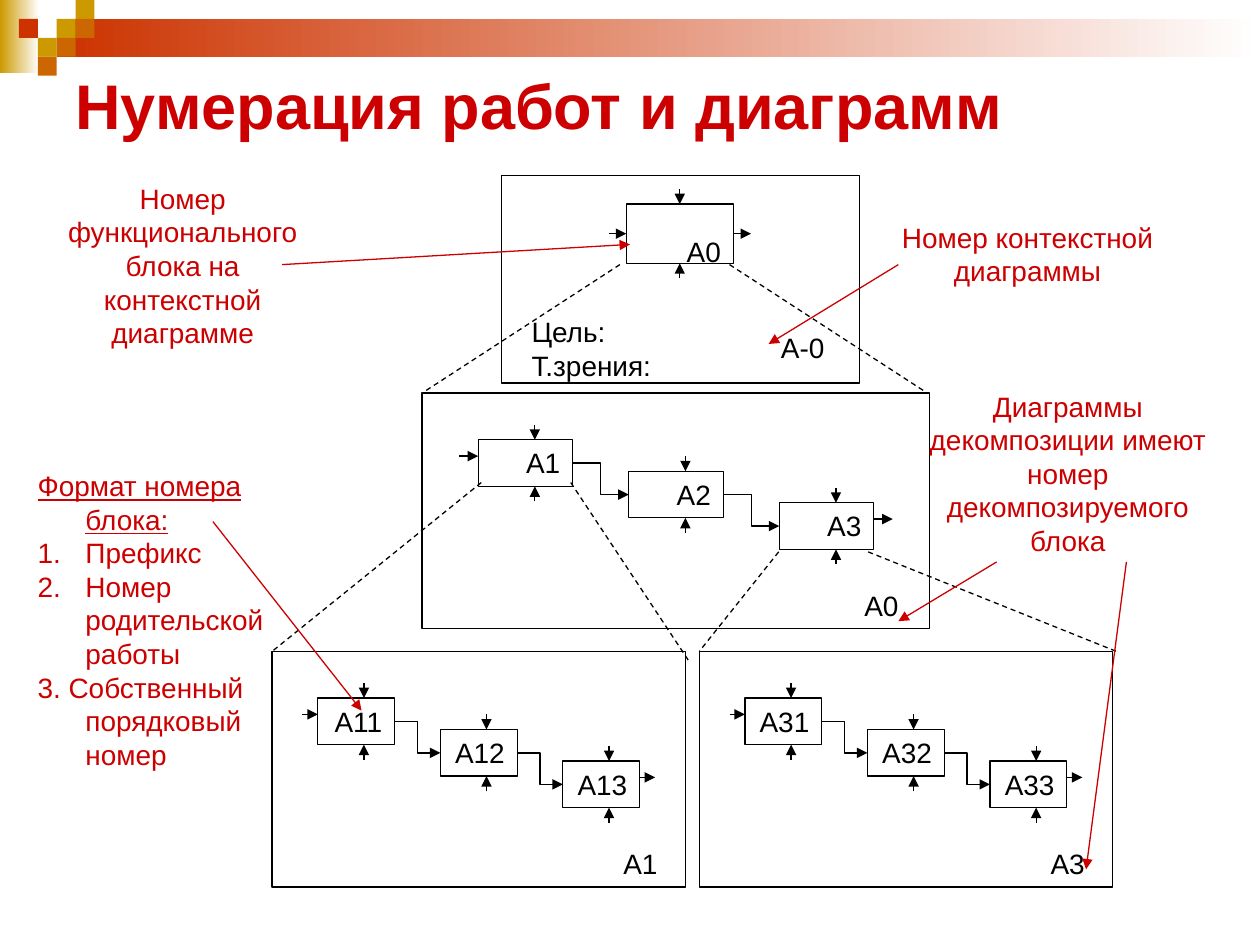
from lxml import etree
from pptx import Presentation
from pptx.dml.color import RGBColor
from pptx.enum.dml import MSO_LINE
from pptx.enum.shapes import MSO_CONNECTOR, MSO_SHAPE
from pptx.enum.text import MSO_ANCHOR, PP_ALIGN
from pptx.oxml.ns import qn
from pptx.util import Inches, Pt

RECT = MSO_SHAPE.RECTANGLE
STRAIGHT, ELBOW = MSO_CONNECTOR.STRAIGHT, MSO_CONNECTOR.ELBOW
LEFT, CENTER, RIGHT = PP_ALIGN.LEFT, PP_ALIGN.CENTER, PP_ALIGN.RIGHT
TOP, MIDDLE = MSO_ANCHOR.TOP, MSO_ANCHOR.MIDDLE
DASH = MSO_LINE.DASH
SIDE_TOP, SIDE_LEFT, SIDE_BOTTOM, SIDE_RIGHT = range(4)

COLORS = {
    "black": "000000",
    "white": "FFFFFF",
    "red": "CC0000",
    "gold": "CC9900",
    "orange": "CC6600",
    "brick": "CC3300",
}


def rgb(name):
    return RGBColor.from_string(COLORS[name])


def add_rect(slide, box, fill="white", line=None, fade=False):
    rect = slide.shapes.add_shape(RECT, *map(Inches, box))
    rect.shadow.inherit = False
    if fade:
        rect.fill.gradient()
        rect.fill.gradient_angle = 0
        for stop, shade in zip(rect.fill.gradient_stops, (fill, "white")):
            stop.color.rgb = rgb(shade)
    else:
        rect.fill.solid()
        rect.fill.fore_color.rgb = rgb(fill)
    if line:
        rect.line.color.rgb = rgb(line)
        rect.line.width = Pt(0.75)
    else:
        rect.line.fill.background()
    return rect


def write_text(shape, lines, size=16, color="black", bold=False, align=LEFT,
               anchor=TOP, top=0.05):
    frame = shape.text_frame
    frame.word_wrap = True
    frame.vertical_anchor = anchor
    frame.margin_left = frame.margin_right = Inches(0.1)
    frame.margin_top, frame.margin_bottom = Inches(top), Inches(0.05)
    for index, line in enumerate(lines):
        paragraph = frame.paragraphs[0] if index == 0 else frame.add_paragraph()
        paragraph.alignment = align
        run = paragraph.add_run()
        run.text = line
        run.font.name = "Arial"
        run.font.size = Pt(size)
        run.font.bold = bold
        run.font.color.rgb = rgb(color)
    return frame


def add_note(slide, box, lines, **text_format):
    note = slide.shapes.add_textbox(*map(Inches, box))
    return write_text(note, lines, **text_format)


def add_line(slide, start, end, color="black", kind=STRAIGHT, arrow=True, dash=None):
    link = slide.shapes.add_connector(kind, *map(Inches, (*start, *end)))
    link.line.color.rgb = rgb(color)
    link.line.width = Pt(0.75)
    if dash:
        link.line.dash_style = dash
    properties = link._element.spPr
    if arrow:
        etree.SubElement(properties.find(qn("a:ln")), qn("a:tailEnd"), type="triangle")
    etree.SubElement(properties, qn("a:effectLst"))
    return link


def add_header(slide, box):
    left, top, width, height = box
    side = 0.15
    add_rect(slide, (left, top, 0.31, 0.58), "gold", fade=True)
    add_rect(slide, (left + 3 * side, top + side, width - 3 * side, 2 * side),
             "brick", fade=True)
    mosaic = [(3, 1, "gold"), (4, 0, "gold"), (4, 1, "orange"), (2, 2, "gold"),
              (1, 1, "brick"), (3, 2, "orange"), (2, 3, "orange")]
    for column, row, color in mosaic:
        add_rect(slide, (left + column * side, top + row * side, side, side), color)
    add_note(slide, (left + 0.5, top + 0.5, 9, 0.65), ["Нумерация работ и диаграмм"],
             size=36, color="red", bold=True, anchor=MIDDLE)


def add_context(slide, box):
    left, top, width, height = box
    add_rect(slide, box, line="black")
    x, y, block_width, block_height = left + 0.99, top + 0.23, 0.85, 0.47
    block = add_rect(slide, (x, y, block_width, block_height), line="black")
    write_text(block, ["А0"], align=RIGHT, top=0.24)
    middle, center = y + block_height / 2, x + block_width / 2
    right, bottom = x + block_width, y + block_height
    inputs = [((x - 0.14, middle), (x, middle), SIDE_LEFT),
              ((center, y - 0.12), (center, y), SIDE_TOP),
              ((center, bottom + 0.12), (center, bottom), SIDE_BOTTOM)]
    for start, end, side in inputs:
        add_line(slide, start, end).end_connect(block, side)
    result = add_line(slide, (right, middle), (right + 0.14, middle))
    result.begin_connect(block, SIDE_RIGHT)
    goal = add_rect(slide, (left + 0.14, top + 1.06, 1.28, 0.47))
    write_text(goal, ["Цель:", "Т.зрения:"])
    number = add_rect(slide, (left + 2.12, top + 1.18, 0.57, 0.35))
    write_text(number, ["А-0"])


def add_decomposition(slide, box, number, block_names, rays):
    left, top, width, height = box
    scale = width / 4.03
    block_width, block_height = 0.75 * scale, 0.37
    stub, drop = 0.15 * scale, 0.12
    add_rect(slide, box, line="black")
    blocks = []
    for index, name in enumerate(block_names):
        x = left + (0.445 + 1.195 * index) * scale
        y = top + 0.37 + 0.25 * index
        block = add_rect(slide, (x, y, block_width, block_height), line="black")
        write_text(block, [name], align=RIGHT)
        control, bottom = x + 0.6 * block_width, y + block_height
        add_line(slide, (control, y - drop), (control, y))
        add_line(slide, (control, bottom + drop), (control, bottom))
        if index == 0:
            add_line(slide, (x - stub, y + 0.13), (x, y + 0.13))
        blocks.append(block)
    right = x + block_width
    add_line(slide, (right, y + 0.13), (right + stub, y + 0.13))
    for source, target in zip(blocks, blocks[1:]):
        flow = add_line(slide, (left, top), (left, top), kind=ELBOW)
        flow.begin_connect(source, SIDE_RIGHT)
        flow.end_connect(target, SIDE_LEFT)
    label = add_rect(slide, (left + width - stub - block_width, top + 1.5,
                             block_width, 0.25))
    write_text(label, [number], align=RIGHT)
    for start, end in rays:
        add_line(slide, start, end, arrow=False, dash=DASH)


def add_callout(slide, box, lines, pointers):
    add_note(slide, box, lines, color="red", align=CENTER)
    for start, end in pointers:
        add_line(slide, start, end, "red")


def add_number_format(slide, box, pointer):
    frame = add_note(slide, box, ["Формат номера блока:", "Префикс",
                                  "Номер родительской работы",
                                  "3. Собственный порядковый номер"], color="red")
    for index, paragraph in enumerate(frame.paragraphs):
        properties = paragraph._p.get_or_add_pPr()
        properties.set("marL", str(Inches(0.38)))
        properties.set("indent", str(-Inches(0.38)))
        if index in (1, 2):
            etree.SubElement(properties, qn("a:buFont"), typeface="Arial")
            etree.SubElement(properties, qn("a:buAutoNum"), type="arabicPeriod")
    frame.paragraphs[0].runs[0].font.underline = True
    add_line(slide, *pointer, "red")


def main():
    deck = Presentation()
    deck.slide_width, deck.slide_height = Inches(10), Inches(7.5)
    slide = deck.slides.add_slide(deck.slide_layouts[6])
    add_header(slide, (0, 0, 10, 1.15))
    add_context(slide, (3.98, 1.39, 2.84, 1.65))
    add_decomposition(slide, (3.35, 3.12, 4.03, 1.87), "А0", ["А1", "А2", "А3"],
                      [((4.92, 2.1), (3.35, 3.12)), ((5.79, 2.1), (7.36, 3.12))])
    add_decomposition(slide, (2.16, 5.17, 3.28, 1.87), "А1", ["А11", "А12", "А13"],
                      [((3.82, 3.83), (2.16, 5.17)), ((4.53, 3.83), (5.47, 5.25))])
    add_decomposition(slide, (5.55, 5.17, 3.28, 1.87), "А3", ["А31", "А32", "А33"],
                      [((6.18, 4.38), (5.55, 5.17)), ((6.89, 4.38), (8.86, 5.17))])
    add_callout(slide, (6.57, 1.7, 3.17, 0.64), ["Номер контекстной диаграммы"],
                [((7.13, 2.1), (6.1, 2.73))])
    add_callout(slide, (0.27, 1.39, 2.36, 1.44),
                ["Номер функционального", "блока на контекстной диаграмме"],
                [((2.24, 2.1), (5, 1.94))])
    add_callout(slide, (7.28, 3.04, 2.39, 1.44),
                ["Диаграммы декомпозиции имеют номер декомпозируемого блока"],
                [((7.91, 4.46), (7.13, 4.93)), ((8.94, 4.46), (8.62, 6.9))])
    add_number_format(slide, (0.2, 3.67, 2.21, 2.5), ((1.69, 4.14), (2.87, 5.64)))
    deck.save("out.pptx")


if __name__ == "__main__":
    main()
